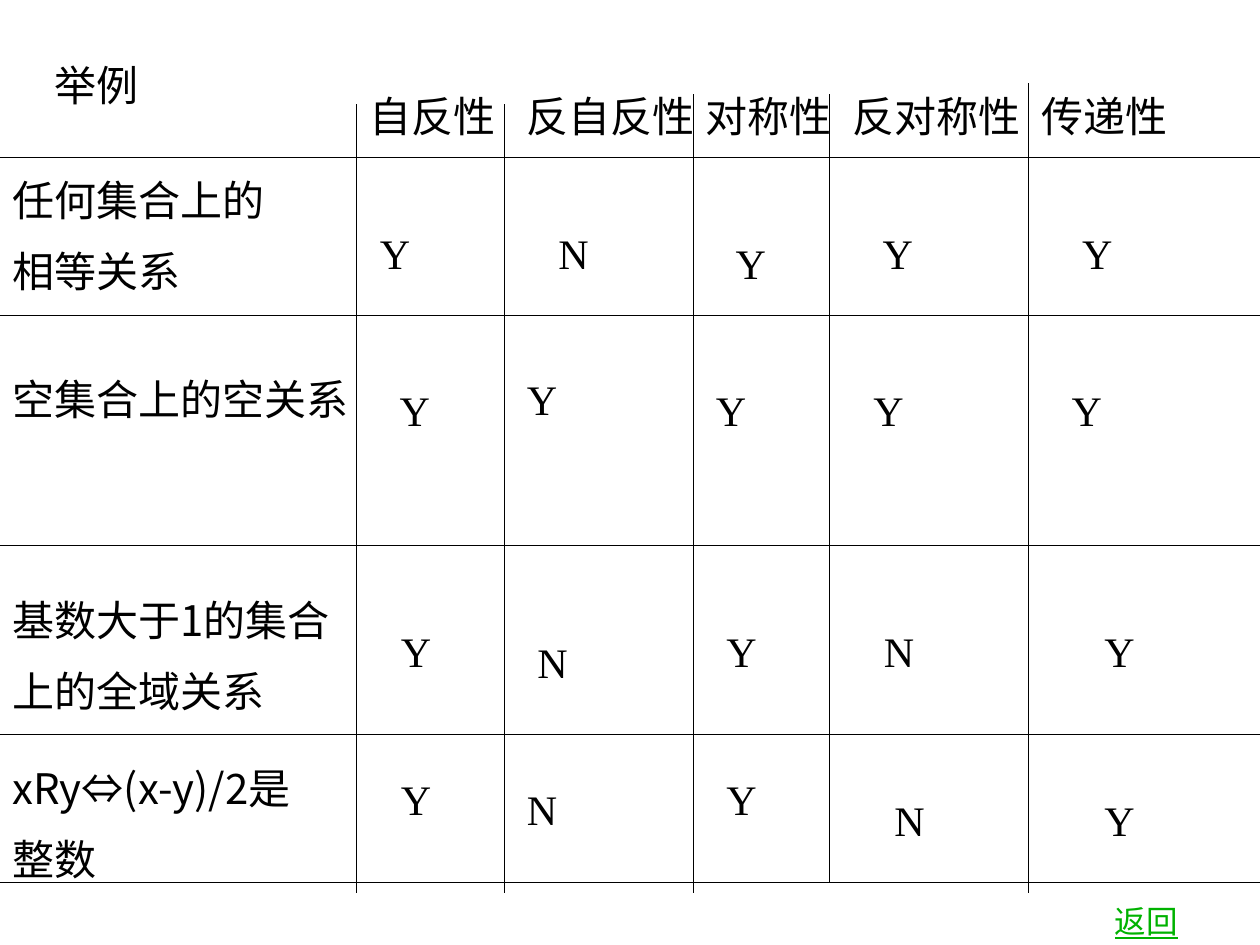
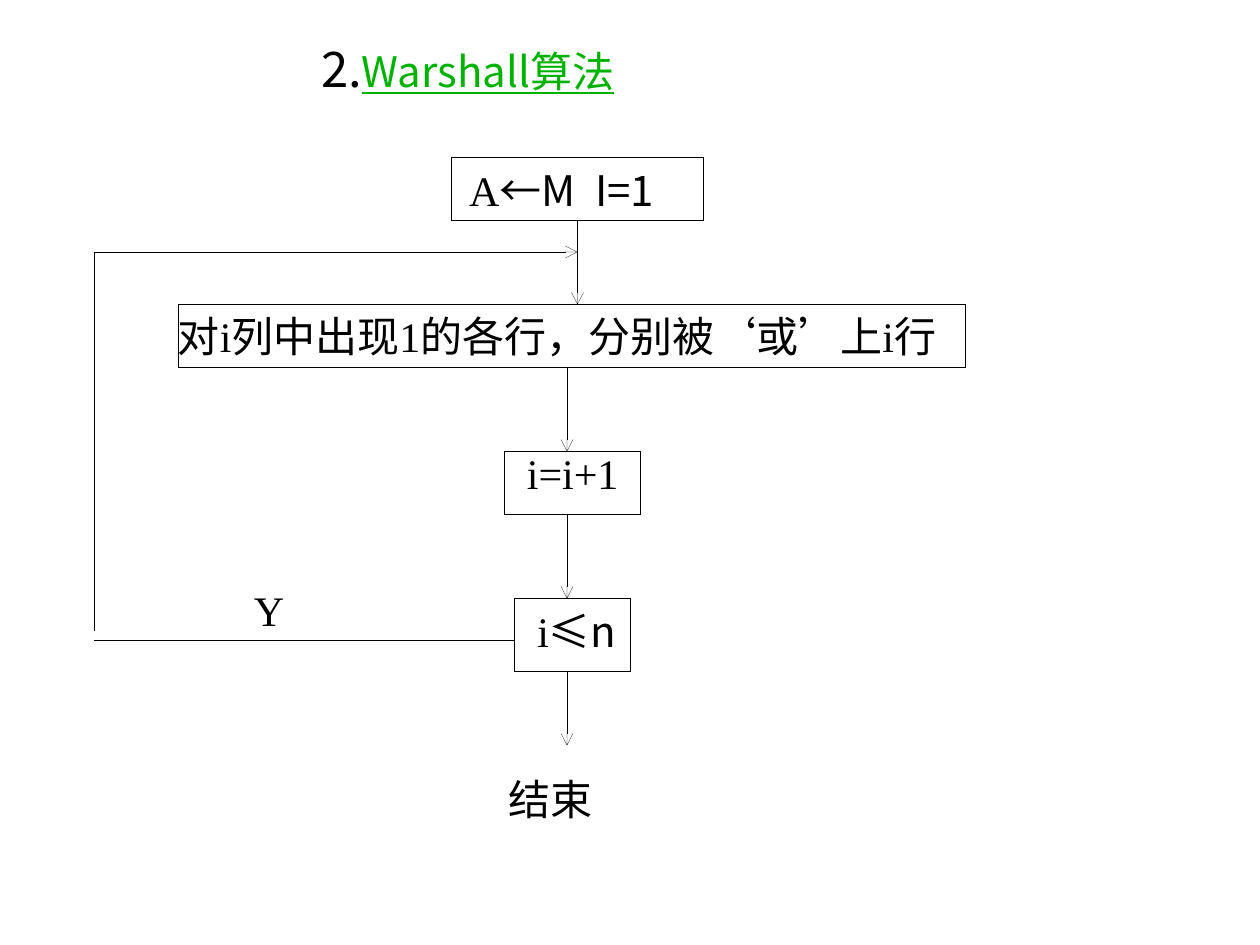
import pptx
import pptx.util
import pptx.dml.color
import pptx.enum.lang
import pptx.enum.shapes
import pptx.enum.text
import pptx.oxml.ns
import lxml.etree

SCALE = 9525
HAN = "Noto Sans CJK SC"
LATIN = "Times New Roman"
INK = "000000"
GREEN = "00B200"
LINK = {"color": GREEN, "underline": True}
SERIF = {"face": LATIN}


def px(size):
    return pptx.util.Emu(int(size * SCALE))


def tint(target, shade):
    target.rgb = pptx.dml.color.RGBColor.from_string(shade)


def node(parent, tag, **traits):
    return lxml.etree.SubElement(parent, pptx.oxml.ns.qn(tag), **traits)


def style(target, values):
    for name, value in values.items():
        setattr(target, name, value)


def add_run(para, text, face=HAN, size=24, color=INK, underline=None):
    run = para.add_run()
    run.text = text
    style(run.font, {
        "name": face,
        "size": pptx.util.Pt(size),
        "bold": False,
        "underline": underline,
        "language_id": pptx.enum.lang.MSO_LANGUAGE_ID.SIMPLIFIED_CHINESE,
    })
    tint(run.font.color, color)
    node(run.font._element, "a:ea", typeface=HAN)


def write(shape, lines):
    frame = shape.text_frame
    style(frame, {
        "word_wrap": True,
        "auto_size": pptx.enum.text.MSO_AUTO_SIZE.NONE,
        "vertical_anchor": pptx.enum.text.MSO_ANCHOR.TOP,
        "margin_top": px(5),
        "margin_bottom": px(5),
    })
    for index, runs in enumerate(lines):
        para = frame.add_paragraph() if index else frame.paragraphs[0]
        style(para, {
            "alignment": pptx.enum.text.PP_ALIGN.LEFT,
            "space_before": pptx.util.Pt(12 if index else 0),
        })
        for text, form in runs:
            add_run(para, text, **form)


def label(slide, box, lines):
    write(slide.shapes.add_textbox(*map(px, box)), lines)


def title(slide, box, runs):
    shape = slide.shapes.title
    style(shape, dict(zip(("left", "top", "width", "height"), map(px, box))))
    write(shape, [runs])


def rule(slide, start, end, arrow=False):
    line = slide.shapes.add_connector(
        pptx.enum.shapes.MSO_CONNECTOR.STRAIGHT, *map(px, start + end))
    line._element.remove(line._element.find(pptx.oxml.ns.qn("p:style")))
    tint(line.line.color, INK)
    if arrow:
        node(line.line._get_or_add_ln(), "a:tailEnd", type="arrow")
    node(line._element.spPr, "a:effectLst")


def step(slide, box):
    left, top, width, height = box
    right, low = left + width, top + height
    for y in (top, low):
        rule(slide, (left, y), (right, y))
    for x in (left, right):
        rule(slide, (x, top), (x, low))


def grid(slide, box):
    left, top, width, height = box
    for y in (56, 176, 352, 496, 608):
        rule(slide, (left, top + y), (left + width, top + y))
    for x, start, end in ((272, 16, height), (384, 16, height), (528, 8, height),
                          (632, 8, height - 8), (784, 0, height)):
        rule(slide, (left + x, top + start), (left + x, top + end))
    heads = (("自反性", 272, 128), ("反自反性", 392, 160), ("对称性", 528, 152),
             ("反对称性", 640, 152), ("传递性", 784, 144))
    for text, x, wide in heads:
        label(slide, (left + x, top, wide, 48), [[(text, {})]])
    rows = (
        (64, ("任何集合上的", "相等关系"), "YNYYY",
         (280, 416, 551, 663, 815), (104, 104, 112, 104, 104)),
        (216, ("空集合上的空关系",), "YYYYY",
         (295, 392, 536, 656, 807), (224, 216, 224, 224, 224)),
        (384, ("基数大于1的集合", "上的全域关系"), "YNYNY",
         (296, 400, 544, 664, 832), (408, 416, 408, 408, 408)),
        (512, ("xRy⇔(x-y)/2是", "整数"), "YNYNY",
         (296, 392, 544, 672, 832), (520, 528, 520, 536, 536)),
    )
    for y, names, signs, across, down in rows:
        label(slide, (left, top + y, width, 58 * len(names) - 10),
              [[(name, {})] for name in names])
        for sign, x, drop, wide in zip(signs, across, down, (80, 128, 80, 112, 128)):
            label(slide, (left + x, top + drop, wide, 48), [[(sign, SERIF)]])


def flow(slide, box):
    left, top = box[:2]
    for x, y, wide, high in ((272, 0, 192, 48), (64, 112, 600, 48),
                             (312, 224, 104, 48), (320, 336, 88, 56)):
        step(slide, (left + x, top + y, wide, high))
    links = (
        (368, 48, 368, 112, True), (360, 160, 360, 224, True),
        (360, 272, 360, 336, True), (360, 392, 360, 448, True),
        (320, 368, 0, 368, False), (0, 360, 0, 72, False),
        (0, 72, 368, 72, True),
    )
    for x, y, right, low, arrow in links:
        rule(slide, (left + x, top + y), (left + right, top + low), arrow)
    notes = (
        (276, 0, 100, [("A", SERIF), ("←M", {})]),
        (372, 0, 90, [("I=1", {})]),
        (54, 112, 720, [("对i列中出现1的各行，分别被‘或’上i行", SERIF)]),
        (320, 216, 110, [("i=i+1", SERIF)]),
        (328, 336, 100, [("i", SERIF), ("≤n", {})]),
        (306, 464, 120, [("结束", SERIF)]),
        (112, 320, 96, [("Y", SERIF)]),
    )
    for x, y, wide, runs in notes:
        label(slide, (left + x, top + y, wide, 48), [runs])


def main():
    deck = pptx.Presentation()
    style(deck, {"slide_width": px(960), "slide_height": px(720)})
    layout = deck.slide_layouts[5]

    slide = deck.slides.add_slide(layout)
    title(slide, (32, 40, 848, 48), [("举例", {})])
    grid(slide, (0, 64, 960, 616))
    label(slide, (840, 682, 96, 38), [[("返回", {"size": 18, **SERIF, **LINK})]])

    slide = deck.slides.add_slide(layout)
    title(slide, (235, 24, 413, 55), [("2.", {"size": 28}), ("Warshall算法", LINK)])
    flow(slide, (72, 120, 816, 512))

    deck.save("out.pptx")


if __name__ == "__main__":
    main()
